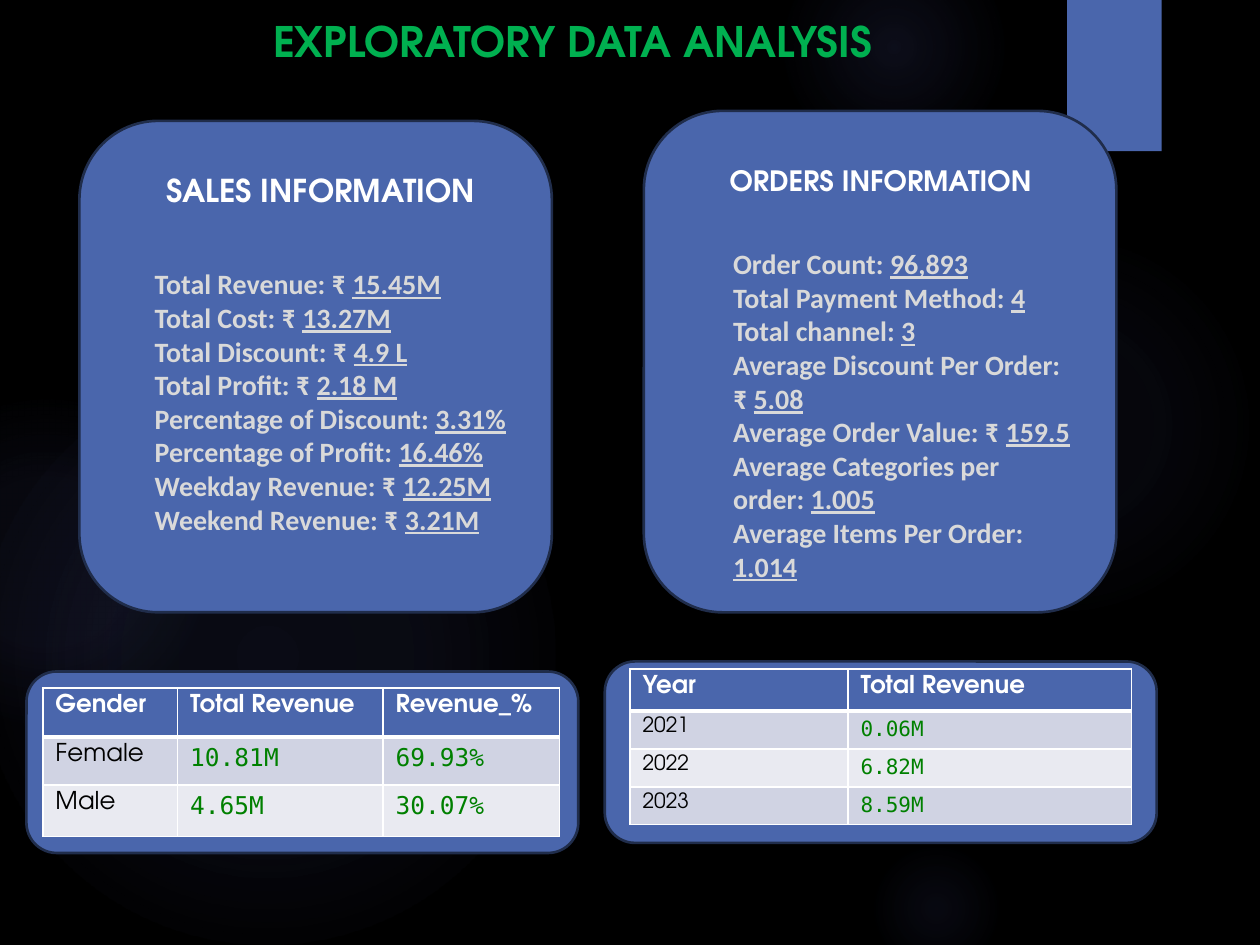
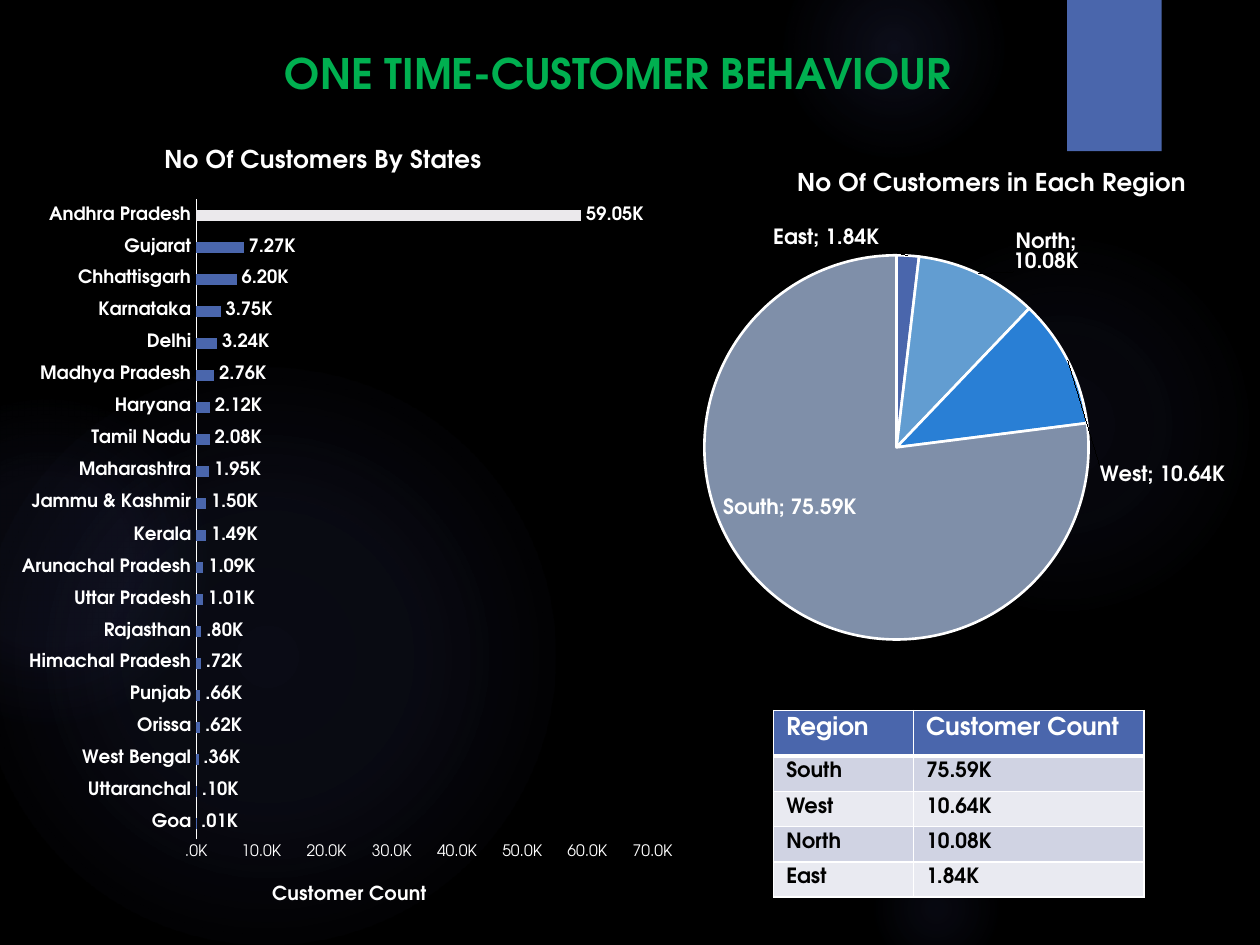
from copy import deepcopy

from pptx import Presentation
from pptx.chart.data import CategoryChartData
from pptx.dml.color import RGBColor
from pptx.enum.chart import XL_CHART_TYPE, XL_LABEL_POSITION, XL_TICK_MARK
from pptx.enum.shapes import MSO_SHAPE, PP_PLACEHOLDER
from pptx.enum.text import MSO_ANCHOR, PP_ALIGN
from pptx.oxml import parse_xml
from pptx.oxml.ns import nsdecls, qn
from pptx.util import Inches, Pt

BLACK = RGBColor(0x00, 0x00, 0x00)
WHITE = RGBColor(0xFF, 0xFF, 0xFF)
BLUE = RGBColor(0x4A, 0x66, 0xAC)
NAVY = RGBColor(0x20, 0x2D, 0x4B)
TITLE_GREEN = RGBColor(0x00, 0xB0, 0x50)
VALUE_GREEN = RGBColor(0x00, 0x80, 0x00)
LIGHT_GRAY = RGBColor(0xD9, 0xD9, 0xD9)
PALE = RGBColor(0xEB, 0xE9, 0xEC)
ROW_BANDS = [RGBColor(0xE9, 0xEA, 0xF1), RGBColor(0xD0, 0xD3, 0xE3)]
SLICES = [BLUE, RGBColor(0x62, 0x9D, 0xD1), RGBColor(0x29, 0x7F, 0xD5), RGBColor(0x7F, 0x8F, 0xA9)]
HEAD_FONT, BODY_FONT, MONO_FONT = "TeX Gyre Adventor", "Calibri", "DejaVu Sans Mono"

deck = Presentation()
deck.slide_width, deck.slide_height = Inches(10), Inches(7.5)
COLUMN, ROW = deck.slide_width / 100, deck.slide_height / 75


def area(left, top, width, height):
    """Turn grid columns and rows into left, top, width, height."""
    return int(left * COLUMN), int(top * ROW), int(width * COLUMN), int(height * ROW)


def place(part, index, **shares):
    """Give a chart part a manual layout, in shares of the chart's size."""
    for old in part.findall(qn("c:layout")):
        part.remove(old)
    target = '<c:layoutTarget val="inner"/>' if "w" in shares else ""
    modes = "" if part.tag == qn("c:dLbl") else '<c:xMode val="edge"/><c:yMode val="edge"/>'
    values = "".join(f'<c:{name} val="{share}"/>' for name, share in shares.items())
    part.insert(index, parse_xml(
        f'<c:layout {nsdecls("c")}><c:manualLayout>{target}{modes}{values}</c:manualLayout></c:layout>'))


# Pages and titles
layout = deck.slide_layouts[5]
layout.background.fill.solid()
layout.background.fill.fore_color.rgb = BLACK
for placeholder in list(layout.placeholders):
    if placeholder.placeholder_format.type != PP_PLACEHOLDER.TITLE:
        layout.shapes.element.remove(placeholder.element)

pages = []
for text, spot, align in [
    ("EXPLORATORY DATA ANALYSIS", (2.7, 0.5, 85.5, 5.4), PP_ALIGN.CENTER),
    ("ONE TIME-CUSTOMER BEHAVIOUR", (21.6, 3.1, 78.4, 5.4), PP_ALIGN.LEFT),
]:
    page = deck.slides.add_slide(layout)
    title = page.shapes.title
    title.left, title.top, title.width, title.height = area(*spot)
    title.text_frame.text = text
    title.text_frame.vertical_anchor = MSO_ANCHOR.MIDDLE
    para = title.text_frame.paragraphs[0]
    para.alignment = align
    para.font.name, para.font.size, para.font.bold = HEAD_FONT, Pt(24), True
    para.font.color.rgb = TITLE_GREEN
    pages.append(page)
summary, customers = pages

# Shared glows and corner tab, moved to the layout
decor = []
for left, top, size, stops in [
    (68.9, 18.3, 30.8, [(0, 7), (36, 6), (69, 0)]),
    (62.2, -5, 17.5, [(0, 14), (36, 7), (73, 0)]),
    (68.9, 66.7, 10.8, [(0, 9), (36, 5), (66, 0)]),
    (-1.7, 29.2, 45.8, [(0, 11), (36, 10), (75, 0)]),
    (-9.2, 31.7, 25.8, [(0, 8), (36, 8), (72, 0)]),
]:
    glow = summary.shapes.add_shape(MSO_SHAPE.OVAL, *area(left, top, size, size))
    glow.fill.background()
    stop_xml = "".join(
        f'<a:gs pos="{at * 1000}"><a:srgbClr val="5C64B7"><a:alpha val="{alpha * 1000}"/></a:srgbClr></a:gs>'
        for at, alpha in stops)
    gradient = parse_xml(
        f'<a:gradFill {nsdecls("a")}><a:gsLst>{stop_xml}</a:gsLst><a:path path="circle">'
        '<a:fillToRect l="50000" t="50000" r="50000" b="50000"/></a:path></a:gradFill>')
    properties = glow.element.spPr
    properties.replace(properties.find(qn("a:noFill")), gradient)
    decor.append(glow)
tab = summary.shapes.add_shape(MSO_SHAPE.RECTANGLE, *area(84.7, 0, 7.5, 12))
tab.fill.solid()
tab.fill.fore_color.rgb = BLUE
decor.append(tab)
for shape in decor:
    shape.shadow.inherit = False
    shape.line.fill.background()
    layout.shapes.element.append(shape.element)

# Rounded panels
for spot in [(6.3, 9.6, 37.5, 39), (51.1, 8.8, 37.5, 39.8),
             (2.1, 53.3, 43.8, 14.4), (48, 52.5, 43.8, 14.4)]:
    panel = summary.shapes.add_shape(MSO_SHAPE.ROUNDED_RECTANGLE, *area(*spot))
    panel.shadow.inherit = False
    panel.fill.solid()
    panel.fill.fore_color.rgb = BLUE
    panel.line.color.rgb, panel.line.width = NAVY, Pt(1.5)

# Panel headings and figures
for heading, size, heading_spot, figures_spot, figures in [
    ("SALES INFORMATION", 18, (11.9, 13.1, 27.1, 4), (11.3, 20.7, 35.4, 22.6), [
        ("Total Revenue: ₹ ", "15.45M"), ("Total Cost: ₹ ", "13.27M"),
        ("Total Discount: ₹ ", "4.9 L"), ("Total Profit: ₹ ", "2.18 M"),
        ("Percentage of Discount: ", "3.31%"), ("Percentage of Profit: ", "16.46%"),
        ("Weekday Revenue: ₹ ", "12.25M"), ("Weekend Revenue: ₹ ", "3.21M")]),
    ("ORDERS INFORMATION", 16, (55.4, 12.5, 29, 3.7), (57.2, 19.1, 29, 27.9), [
        ("Order Count: ", "96,893"), ("Total Payment Method: ", "4"), ("Total channel: ", "3"),
        ("Average Discount Per Order: ₹ ", "5.08"), ("Average Order Value: ₹ ", "159.5"),
        ("Average Categories per order: ", "1.005"), ("Average Items Per Order: ", "1.014")]),
]:
    box = summary.shapes.add_textbox(*area(*heading_spot))
    box.text_frame.word_wrap = True
    para = box.text_frame.paragraphs[0]
    para.text, para.alignment = heading, PP_ALIGN.CENTER
    para.font.name, para.font.size, para.font.bold = HEAD_FONT, Pt(size), True
    para.font.color.rgb = WHITE

    box = summary.shapes.add_textbox(*area(*figures_spot))
    box.text_frame.word_wrap = True
    for number, (label, value) in enumerate(figures):
        para = box.text_frame.add_paragraph() if number else box.text_frame.paragraphs[0]
        para.font.name, para.font.size, para.font.bold = BODY_FONT, Pt(16), True
        para.font.color.rgb = LIGHT_GRAY
        para.add_run().text = label
        span = para.add_run()
        span.text, span.font.underline = value, True

# Charts of customers by state and by region
states = {
    "Goa": 10, "Uttaranchal": 100, "West Bengal": 360, "Orissa": 620, "Punjab": 660,
    "Himachal Pradesh": 720, "Rajasthan": 800, "Uttar Pradesh": 1010, "Arunachal Pradesh": 1090,
    "Kerala": 1490, "Jammu & Kashmir": 1500, "Maharashtra": 1950, "Tamil Nadu": 2080,
    "Haryana": 2120, "Madhya Pradesh": 2760, "Delhi": 3240, "Karnataka": 3750,
    "Chhattisgarh": 6200, "Gujarat": 7270, "Andhra Pradesh": 59050,
}
regions = {"East": 1840, "North": 10080, "West": 10640, "South": 75590}
charts = []
for kind, spot, heading, counts, label_size, label_position, title_at, plot_at in [
    (XL_CHART_TYPE.BAR_CLUSTERED, (-3.4, 9.4, 57.5, 64.3), "No Of Customers By States", states,
     10.5, XL_LABEL_POSITION.OUTSIDE_END, (0.28, 0.03), (0.33, 0.1, 0.63, 0.79)),
    (XL_CHART_TYPE.PIE, (53.9, 11.5, 50, 40.7), "No Of Customers in Each Region", regions,
     12, XL_LABEL_POSITION.BEST_FIT, (0.18, 0.04), (0.04, 0.21, 0.61, 0.82)),
]:
    data = CategoryChartData()
    data.categories = list(counts)
    data.add_series("Series 1", list(counts.values()))
    chart = customers.shapes.add_chart(kind, *area(*spot), data).chart
    chart.has_legend = False
    chart.font.name, chart.font.size, chart.font.color.rgb = HEAD_FONT, Pt(10), WHITE
    chart.chart_title.text_frame.text = heading
    font = chart.chart_title.text_frame.paragraphs[0].font
    font.name, font.size, font.bold, font.color.rgb = HEAD_FONT, Pt(14), True, WHITE
    place(chart.chart_title.element, 1, x=title_at[0], y=title_at[1])
    place(chart.element.find(".//" + qn("c:plotArea")), 0, **dict(zip("xywh", plot_at)))
    labels = chart.plots[0].series[0].data_labels
    labels.show_value, labels.position = True, label_position
    labels.number_format, labels.number_format_is_linked = '#.00,"K";\\-#.00,"K"', False
    font = labels.font
    font.name, font.size, font.bold, font.color.rgb = HEAD_FONT, Pt(label_size), True, WHITE
    charts.append(chart)
state_chart, region_chart = charts

# Bars and axes
bars = state_chart.plots[0]
bars.gap_width, bars.vary_by_categories = 182, False
for fill, color in [(bars.series[0].format.fill, BLUE),
                    (bars.series[0].points[len(states) - 1].format.fill, PALE)]:
    fill.solid()
    fill.fore_color.rgb = color
state_axis, count_axis = state_chart.category_axis, state_chart.value_axis
for axis, size, bold in [(state_axis, 10.5, True), (count_axis, 9, False)]:
    axis.major_tick_mark = axis.minor_tick_mark = XL_TICK_MARK.NONE
    axis.has_major_gridlines = False
    font = axis.tick_labels.font
    font.name, font.size, font.bold, font.color.rgb = HEAD_FONT, Pt(size), bold, WHITE
state_axis.format.line.color.rgb, state_axis.format.line.width = WHITE, Pt(0.75)
count_axis.format.line.fill.background()
count_axis.minimum_scale, count_axis.maximum_scale, count_axis.major_unit = 0, 70000, 10000
count_axis.tick_labels.number_format = '#.0,"K";\\-#.0,"K"'
count_axis.tick_labels.number_format_is_linked = False
count_axis.axis_title.text_frame.text = "Customer Count"
font = count_axis.axis_title.text_frame.paragraphs[0].font
font.name, font.size, font.bold, font.color.rgb = HEAD_FONT, Pt(11), True, WHITE
place(count_axis.axis_title.element, 1, x=0.43, y=0.94)

# Pie slices and their shifted labels
pie = region_chart.plots[0].series[0]
for number, color in enumerate(SLICES):
    form = pie.points[number].format
    form.fill.solid()
    form.fill.fore_color.rgb = color
    form.line.color.rgb, form.line.width = WHITE, Pt(1.5)
pie.data_labels.show_category_name = True
label_group = region_chart.element.find(".//" + qn("c:dLbls"))
shared = [child for child in label_group if child.tag != qn("c:showLeaderLines")]
for number, (x, y) in enumerate([(-0.13, 0), (0.05, 0.01), (0.04, 0.25)]):
    label = parse_xml(f'<c:dLbl {nsdecls("c")}><c:idx val="{number}"/></c:dLbl>')
    label.extend([deepcopy(child) for child in shared])
    place(label, 1, x=x, y=y)
    label_group.insert(number, label)

# Tables: header row, then banded rows
for page, spot, widths, heights, size, value_style, bold, rows in [
    (summary, (3.4, 54.6, 41.1, 11.8), (10.7, 16.3, 14), (3.9, 3.8, 4.1), 14,
     (MONO_FONT, VALUE_GREEN), False,
     [("Gender", "Total Revenue", "Revenue_%"), ("Female", "10.81M", "69.93%"),
      ("Male", "4.65M", "30.07%")]),
    (summary, (50, 53.1, 39.8, 11.6), (17.3, 22.5), (2.9,) * 4, 12,
     (MONO_FONT, VALUE_GREEN), False,
     [("Year", "Total Revenue"), ("2021", "0.06M"), ("2022", "6.82M"), ("2023", "8.59M")]),
    (customers, (61.4, 56.4, 29.4, 14.7), (11.1, 18.3), (3.6,) + (2.8,) * 4, 12,
     (HEAD_FONT, BLACK), True,
     [("Region", "Customer Count"), ("South", "75.59K"), ("West", "10.64K"),
      ("North", "10.08K"), ("East", "1.84K")]),
]:
    table = page.shapes.add_table(len(rows), len(widths), *area(*spot)).table
    for column, width in zip(table.columns, widths):
        column.width = int(width * COLUMN)
    for line, height in zip(table.rows, heights):
        line.height = int(height * ROW)
    for r, texts in enumerate(rows):
        for c, text in enumerate(texts):
            cell = table.cell(r, c)
            cell.text = text
            cell.fill.solid()
            cell.fill.fore_color.rgb = ROW_BANDS[r % 2] if r else BLUE
            font = cell.text_frame.paragraphs[0].font
            name, color = value_style if r and c else (HEAD_FONT, BLACK if r else WHITE)
            font.name, font.color.rgb = name, color
            font.size, font.bold = Pt(size if r else 14), bold or r == 0
            # Borders come before the fill in the cell properties
            for side, edge in enumerate(["lnL", "lnR", "lnT", "lnB"]):
                thick = (r, edge) in [(0, "lnB"), (1, "lnT")]
                cell._tc.get_or_add_tcPr().insert(side, parse_xml(
                    f'<a:{edge} {nsdecls("a")} w="{Pt(3 if thick else 1)}"><a:solidFill>'
                    f'<a:srgbClr val="{WHITE}"/></a:solidFill></a:{edge}>'))

deck.save("out.pptx")
